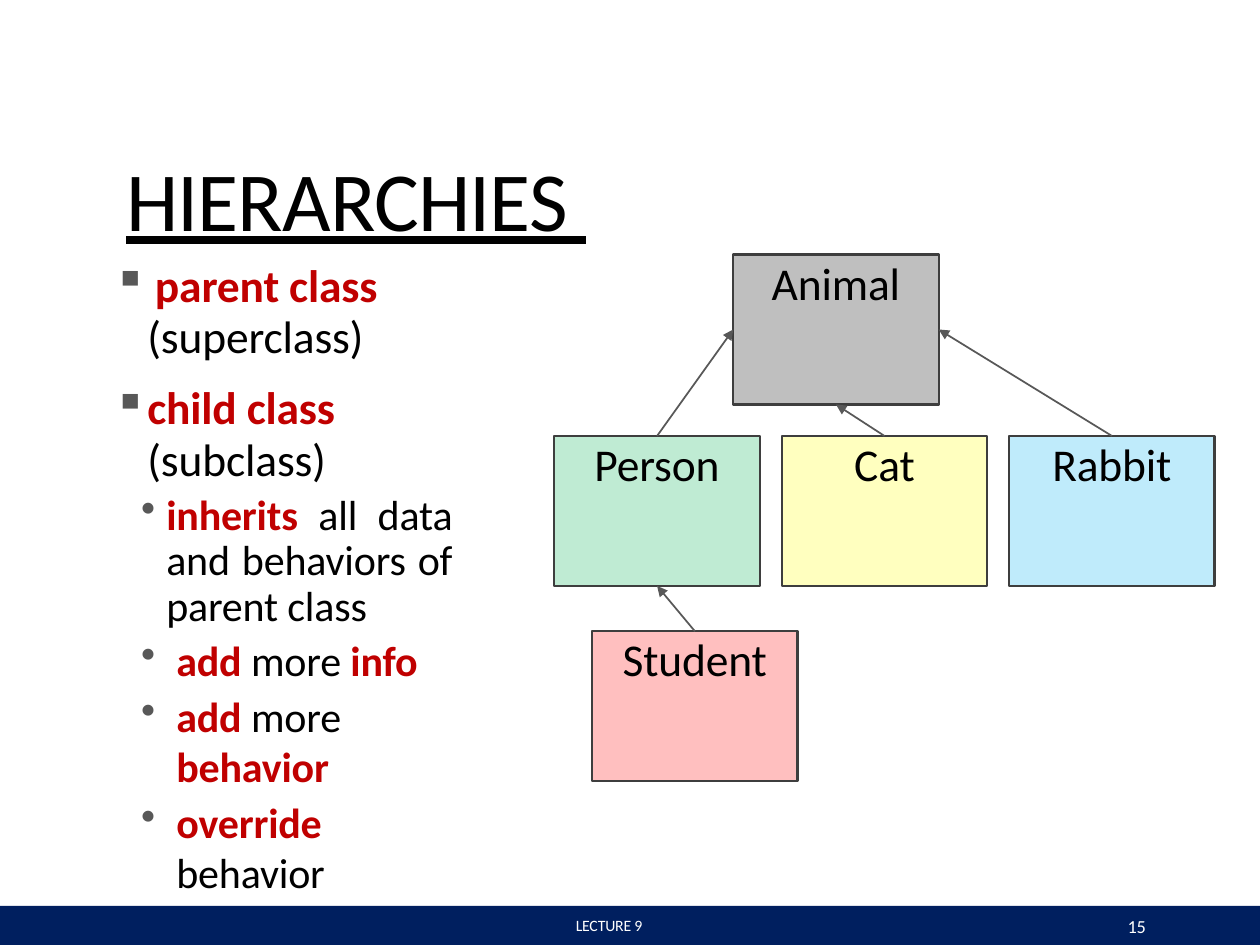
from lxml import etree
from pptx import Presentation
from pptx.dml.color import RGBColor
from pptx.enum.shapes import MSO_CONNECTOR, MSO_SHAPE
from pptx.enum.text import MSO_ANCHOR, MSO_AUTO_SIZE, PP_ALIGN
from pptx.oxml.ns import qn
from pptx.util import Inches, Pt

RECT, STRAIGHT = MSO_SHAPE.RECTANGLE, MSO_CONNECTOR.STRAIGHT
TOP_ANCHOR, NO_FIT = MSO_ANCHOR.TOP, MSO_AUTO_SIZE.NONE
LEFT_ALIGN, CENTER, JUSTIFY = PP_ALIGN.LEFT, PP_ALIGN.CENTER, PP_ALIGN.JUSTIFY
TOP, LEFT, BOTTOM, RIGHT = range(4)

COLORS = {
    "text": "000000", "key": "C00000", "bullet": "585858", "arrow": "585858",
    "border": "3E3E3E", "bar": "001F5F", "white": "FFFFFF",
    "Animal": "BFBFBF", "Person": "BFEBD3", "Cat": "FFFFBF",
    "Rabbit": "BFEBFB", "Student": "FFBFBF",
}
WIDTH, HEIGHT = 10, 7.5
BAR_TOP = 7.19

TITLE = "HIERARCHIES "
MAIN = {"size": 26, "line": Pt(29.6)}
SUB = {"size": 24, "level": 1, "bullet": "•", "margin": 0.51, "hang": 0.28, "right": 0.44}
POINTS = [
    ([("parent class", True)], {**MAIN, "bullet": "▪", "margin": 0.34, "hang": 0.33}),
    ([("(superclass)", False)], {**MAIN, "margin": 0.28}),
    ([("child class", True)], {**MAIN, "bullet": "▪", "margin": 0.26, "hang": 0.25, "before": 10.8}),
    ([("(subclass)", False)], {**MAIN, "margin": 0.28}),
    ([("inherits ", True), ("all data and behaviors of parent class", False)],
     {**SUB, "margin": 0.43, "hang": 0.2, "line": Pt(25.9), "before": 4.5, "align": JUSTIFY}),
    ([("add ", True), ("more ", False), ("info", True)], {**SUB, "before": 2.8}),
    ([("add ", True), ("more ", False), ("behavior", True)], {**SUB, "before": 3.1}),
    ([("override ", True), ("behavior", False)], {**SUB, "before": 3.1}),
]

BOX_W, BOX_H = 1.63, 1.19
ROWS = (2.02, 3.46, 5.01)
FIRST_CHILD, LAST_CHILD = 4.4, 8.01
CHILDREN = ("Person", "Cat", "Rabbit")
CHILD_STEP = (LAST_CHILD - FIRST_CHILD) / (len(CHILDREN) - 1)
CLASSES = {
    "Animal": (5.82, ROWS[0]),
    **{child: (FIRST_CHILD + i * CHILD_STEP, ROWS[1]) for i, child in enumerate(CHILDREN)},
    "Student": (4.7, ROWS[2]),
}
INHERITANCE = [
    ("Person", "Animal", LEFT),
    ("Cat", "Animal", BOTTOM),
    ("Rabbit", "Animal", RIGHT),
    ("Student", "Person", BOTTOM),
]
FOOTERS = [
    ("LECTURE 9", (4.53, 7.27, 0.94, 0.15), {"size": 9, "margin": 0.04}),
    ("15", (8.92, 7.26, 0.2, 0.18), {"size": 10.5, "margin": 0.03}),
]


def rgb(name):
    return RGBColor.from_string(COLORS[name])


def inches(*values):
    return [Inches(value) for value in values]


def prepare(frame):
    frame.margin_left = frame.margin_top = frame.margin_right = frame.margin_bottom = 0
    frame.word_wrap = True
    frame.auto_size = NO_FIT
    frame.vertical_anchor = TOP_ANCHOR
    return frame.paragraphs[0]


def write(paragraph, text, size=26, color="text", align=LEFT_ALIGN, level=0, margin=0, hang=0,
          right=0, line=1.0, before=0, bullet=None, underline=None, spacing=-10):
    paragraph.alignment = align
    paragraph.level = level
    paragraph.line_spacing = line
    paragraph.space_before = Pt(before)
    props = paragraph._p.get_or_add_pPr()
    for key, value in (("marL", margin), ("marR", right), ("indent", -hang)):
        props.set(key, str(Inches(value)))
    if bullet:
        bullet_color = etree.SubElement(props, qn("a:buClr"))
        etree.SubElement(bullet_color, qn("a:srgbClr"), val=COLORS["bullet"])
        etree.SubElement(props, qn("a:buChar"), char=bullet)
    for words, is_key in [(text, False)] if isinstance(text, str) else text:
        run = paragraph.add_run()
        run.text = words
        run.font.name = "Calibri"
        run.font.size = Pt(size)
        run.font.bold = is_key
        run.font.underline = underline
        run.font.color.rgb = rgb("key" if is_key else color)
        run._r.get_or_add_rPr().set("spc", str(spacing))


def add_box(slide, place, fill, border=None):
    box = slide.shapes.add_shape(RECT, *inches(*place))
    box.shadow.inherit = False
    box.fill.solid()
    box.fill.fore_color.rgb = rgb(fill)
    if border:
        box.line.color.rgb = rgb(border)
        box.line.width = Pt(1.25)
    else:
        box.line.fill.background()
    return box


def add_arrow(slide, child, parent, side):
    arrow = slide.shapes.add_connector(STRAIGHT, 0, 0, 0, 0)
    arrow.begin_connect(child, TOP)
    arrow.end_connect(parent, side)
    arrow.line.color.rgb = rgb("arrow")
    arrow.line.width = Pt(1)
    etree.SubElement(arrow.line._get_or_add_ln(), qn("a:tailEnd"), type="triangle")
    etree.SubElement(arrow._element.spPr, qn("a:effectLst"))


def main():
    deck = Presentation()
    deck.slide_width, deck.slide_height = inches(WIDTH, HEIGHT)
    slide = deck.slides.add_slide(deck.slide_layouts[5])

    add_box(slide, (0, BAR_TOP, WIDTH, HEIGHT - BAR_TOP), "bar")

    title = slide.shapes.title
    title.left, title.top, title.width, title.height = inches(0.99, 1.17, 8.18, 0.69)
    write(prepare(title.text_frame), TITLE, size=48, margin=0.01, underline=True, spacing=-50)

    points = slide.shapes.add_textbox(*inches(0.89, 2.06, 3.14, 4.24)).text_frame
    paragraph = prepare(points)
    for i, (text, layout) in enumerate(POINTS):
        write(points.add_paragraph() if i else paragraph, text, **layout)

    boxes = {}
    for name, (left, top) in CLASSES.items():
        boxes[name] = add_box(slide, (left, top, BOX_W, BOX_H), name, "border")
        write(prepare(boxes[name].text_frame), name, align=CENTER)
    for child, parent, side in INHERITANCE:
        add_arrow(slide, boxes[child], boxes[parent], side)

    for text, place, layout in FOOTERS:
        footer = slide.shapes.add_textbox(*inches(*place))
        write(prepare(footer.text_frame), text, color="white", **layout)

    deck.save("out.pptx")


if __name__ == "__main__":
    main()
